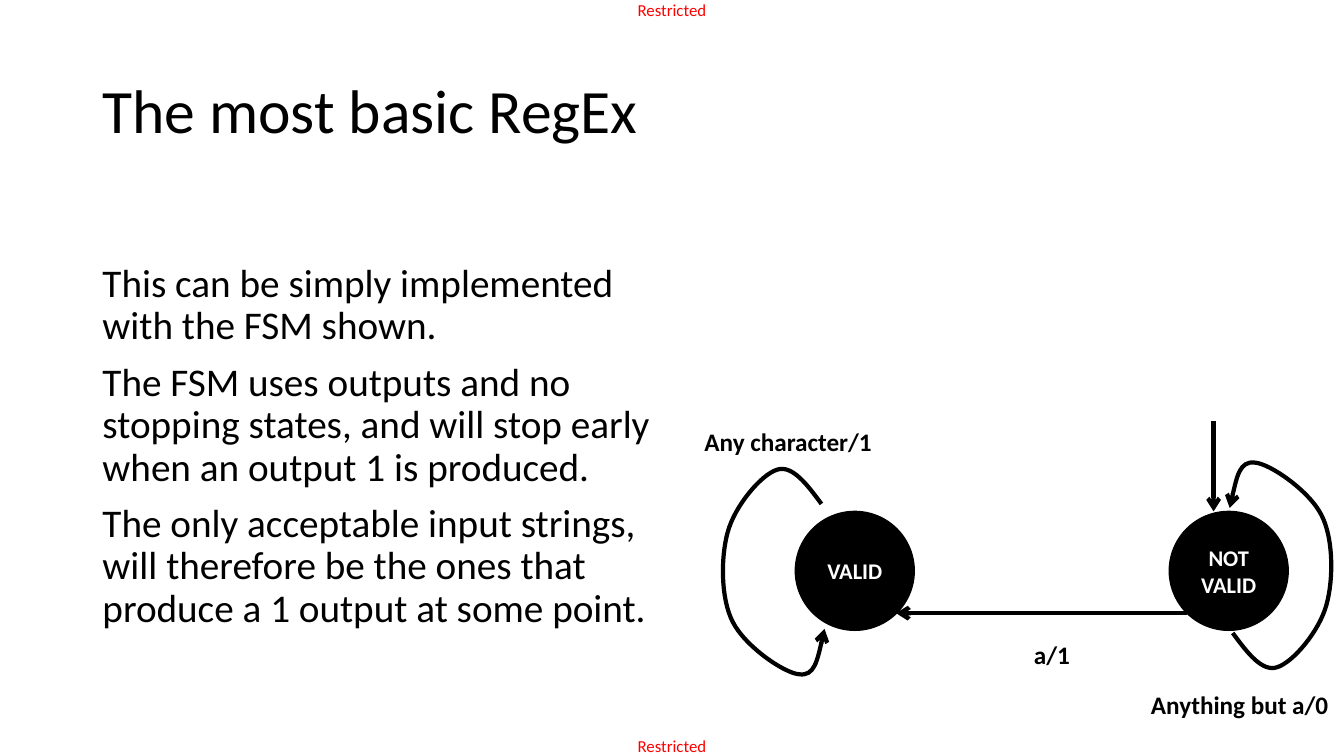
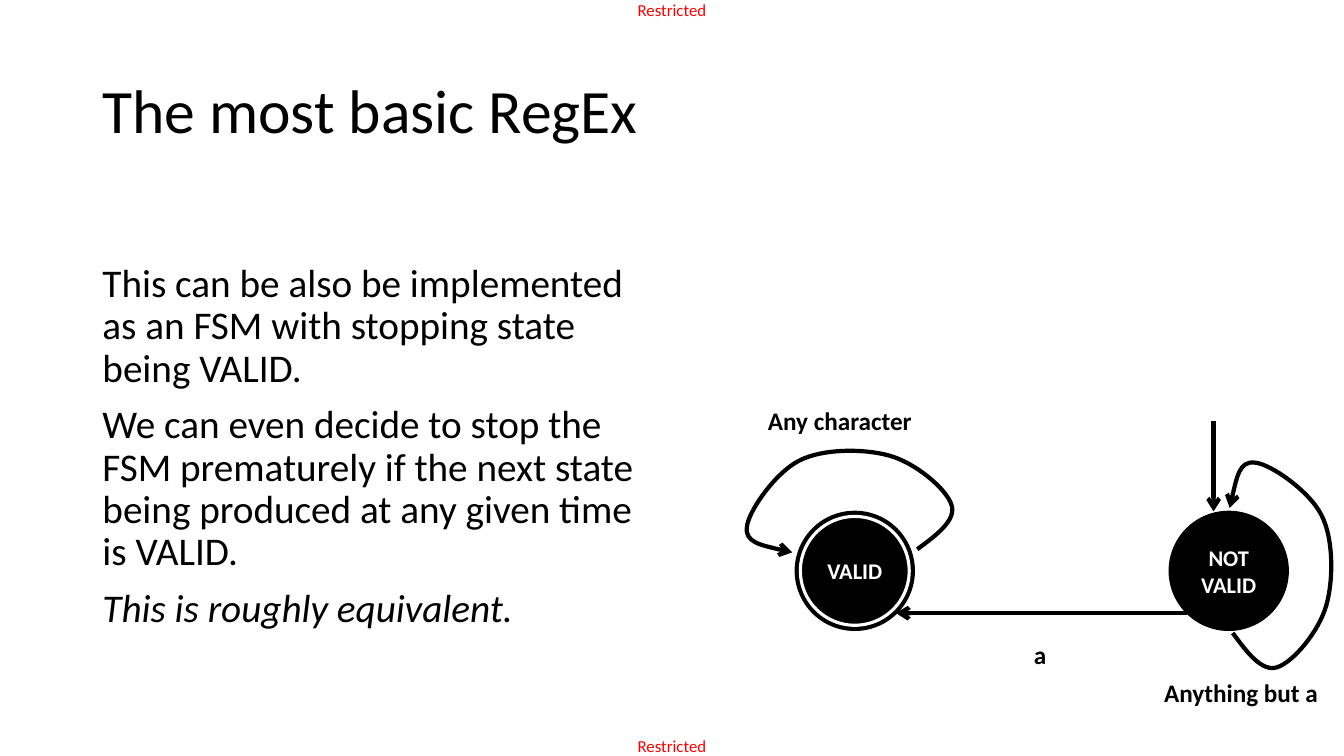
from dataclasses import dataclass

from lxml import etree
from pptx import Presentation
from pptx import util as u
from pptx.dml.color import RGBColor
from pptx.enum import shapes, text
from pptx.oxml.ns import qn


@dataclass(frozen=True)
class Theme:
    font: str = "Calibri"
    ink: RGBColor = RGBColor(0, 0, 0)
    paper: RGBColor = RGBColor(255, 255, 255)
    alert: RGBColor = RGBColor(255, 0, 0)
    title: int = 44
    body: int = 28
    label: int = 18
    state: int = 16
    mark: int = 12
    thick: float = 3
    ring: float = 2.25
    thin: float = 1


theme = Theme()
left, centre = text.PP_ALIGN.LEFT, text.PP_ALIGN.CENTER

# Square grid: 40 columns by 22.5 rows
COLS, ROWS = 40, 22.5
CELL = u.Inches(7.5) / ROWS


def span(*cells):
    """Turn grid cells into slide lengths."""
    return [u.Emu(round(c * CELL)) for c in cells]


def put(frame, words, size, color=theme.ink, bold=False, align=left):
    """Set the words and format every run."""
    frame.text = words
    for para in frame.paragraphs:
        para.alignment = align
        for run in para.runs:
            font = run.font
            font.name, font.size, font.bold = theme.font, u.Pt(size), bold
            font.color.rgb = color


# Diagram, in grid cells
SIZE, INSET = 3.54, 0.15
TOP = 15.22
VALID, OTHER = 23.67, 34.8
LINES = [(36.12, 12.54, 36.12, TOP), (35.33, 18.25, 26.67, 18.25)]
# Loop around its centre, as a start and five cubic curves
LOOP = [
    (1.44, -2.01),
    (1.02, -2.58), (0.57, -3.18), (0.12, -3.03),
    (-0.36, -2.88), (-1.14, -1.95), (-1.35, -1.17),
    (-1.56, -0.42), (-1.56, 0.81), (-1.2, 1.5),
    (-0.84, 2.22), (0.33, 3.03), (0.78, 3.06),
    (1.23, 3.12), (1.38, 2.4), (1.53, 1.71),
]
RIGHT = (38.13, 16.83, 2)  # centre, quarter turns

pages = [
    dict(
        body=[
            "This can be simply implemented with the FSM shown.",
            "The FSM uses outputs and no stopping states, and will stop early "
            "when an output 1 is produced.",
            "The only acceptable input strings, will therefore be the ones "
            "that produce a 1 output at some point.",
        ],
        labels=[("a/1", 30.48, 18.87), ("Any character/1", 20.67, 12.54),
                ("Anything but a/0", 33.96, 20.37)],
        loop=(23.01, 17.01, 0),
        stop=False,
    ),
    dict(
        body=[
            "This can be also be implemented as an FSM with stopping state "
            "being VALID.",
            "We can even decide to stop the FSM prematurely if the next state "
            "being produced at any given time is VALID.",
            "This is roughly equivalent.",
        ],
        labels=[("a", 30.48, 18.87), ("Any character", 22.56, 11.91),
                ("Anything but a", 34.35, 20.01)],
        loop=(25.29, 14.91, 1),
        stop=True,
    ),
]

prs = Presentation()
prs.slide_width, prs.slide_height = span(COLS, ROWS)
layout = prs.slide_layouts[1]
places = [(2.75, 1.2, 34.5, 4.35), (2.75, 7.7, 17, 14.8)]
for holder, place in zip(layout.placeholders, places):
    holder.left, holder.top, holder.width, holder.height = span(*place)

for page in pages:
    slide = prs.slides.add_slide(layout)
    title, body = slide.placeholders
    put(title.text_frame, "The most basic RegEx", theme.title)
    title.text_frame.paragraphs[0].line_spacing = 0.9
    title.text_frame.vertical_anchor = text.MSO_ANCHOR.MIDDLE

    put(body.text_frame, "\n".join(page["body"]), theme.body)
    body.text_frame.auto_size = text.MSO_AUTO_SIZE.NONE
    for para in body.text_frame.paragraphs:
        para.line_spacing, para.space_before = 0.9, u.Pt(10)
        props = para._p.get_or_add_pPr()
        props.set("marL", "0")
        props.set("indent", "0")
        etree.SubElement(props, qn("a:buNone"))
    if page["stop"]:
        para.runs[0].font.italic = True

    # States: a stopping state gets an inner ring that holds its name
    states = [("" if page["stop"] else "VALID", VALID, 0),
              ("NOT VALID", OTHER, 0)]
    if page["stop"]:
        states.append(("VALID", VALID, INSET))
    for name, col, gap in states:
        side = SIZE - 2 * gap
        disc = slide.shapes.add_shape(
            shapes.MSO_SHAPE.OVAL, *span(col + gap, TOP + gap, side, side))
        disc.shadow.inherit = False
        disc.fill.solid()
        disc.fill.fore_color.rgb = theme.ink
        disc.line.color.rgb = theme.paper if gap else theme.ink
        disc.line.width = u.Pt(theme.ring if gap else theme.thin)
        frame = disc.text_frame
        frame.word_wrap = True
        frame.margin_left = frame.margin_right = 0
        frame.vertical_anchor = text.MSO_ANCHOR.MIDDLE
        put(frame, name, theme.state, theme.paper, True, centre)

    arrows = [
        slide.shapes.add_connector(shapes.MSO_CONNECTOR.STRAIGHT, *span(*ends))
        for ends in LINES
    ]
    for mid, row, turns in (RIGHT, page["loop"]):
        points = LOOP
        for _ in range(turns):
            points = [(-y, x) for x, y in points]
        points = [span(mid + x, row + y) for x, y in points]
        pen = slide.shapes.build_freeform(*points[0])
        pen.add_line_segments(points[1:], close=False)
        curve = pen.convert_to_shape()
        curve.fill.background()
        # Every three straight steps become one cubic curve
        steps = list(curve._element.iter(qn("a:lnTo")))
        for i in range(0, len(steps), 3):
            cubic = etree.SubElement(steps[i].getparent(), qn("a:cubicBezTo"))
            for step in steps[i:i + 3]:
                cubic.append(step[0])
                step.getparent().remove(step)
        arrows.append(curve)

    for arrow in arrows:
        arrow.line.color.rgb = theme.ink
        arrow.line.width = u.Pt(theme.thick)
        etree.SubElement(arrow.line._get_or_add_ln(), qn("a:tailEnd"),
                         type="arrow")
        etree.SubElement(arrow._element.spPr, qn("a:effectLst"))

    for words, col, row in page["labels"]:
        label = slide.shapes.add_textbox(*span(col, row, 6.6, 1.2))
        put(label.text_frame, words, theme.label, bold=True)

# Marks at top and bottom, moved to the master so every slide shares them
for row in (0, ROWS - 0.6):
    mark = slide.shapes.add_textbox(*span(COLS / 2 - 1.1, row, 2.2, 0.6))
    frame = mark.text_frame
    frame.margin_left = frame.margin_right = 0
    frame.margin_top = frame.margin_bottom = 0
    put(frame, "Restricted", theme.mark, theme.alert, align=centre)
    prs.slide_master.shapes._spTree.append(mark._element)

prs.save("out.pptx")
